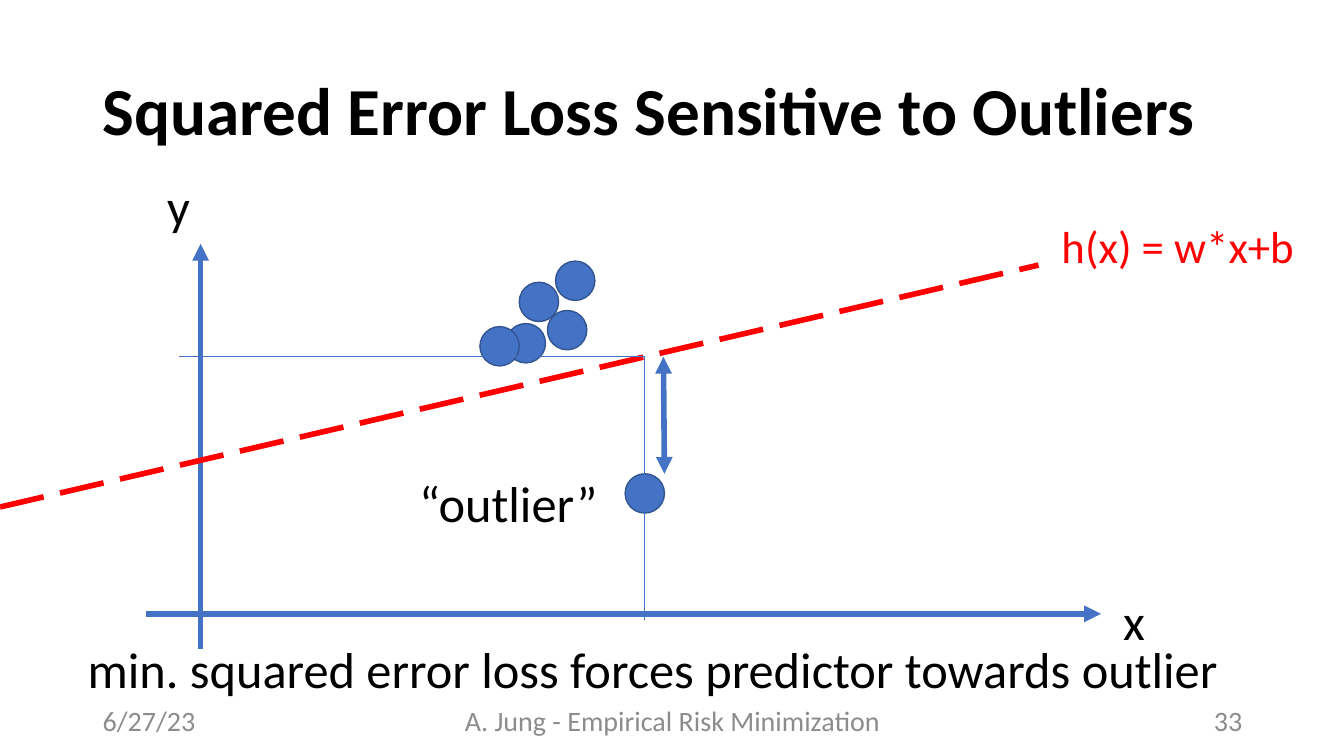
from lxml import etree
from pptx import Presentation
from pptx.dml.color import RGBColor
from pptx.enum.dml import MSO_LINE
from pptx.enum.shapes import MSO_CONNECTOR, MSO_SHAPE
from pptx.enum.text import MSO_ANCHOR, PP_ALIGN
from pptx.oxml.ns import qn
from pptx.util import Pt

PX = 9144  # EMU per px, 100 px to the inch
FONT = "Calibri"
BLACK = RGBColor(0x00, 0x00, 0x00)
BLUE = RGBColor(0x44, 0x72, 0xC4)
DARK_BLUE = RGBColor(0x32, 0x54, 0x91)
RED = RGBColor(0xFF, 0x00, 0x00)
GREY = RGBColor(0x8C, 0x8C, 0x8C)
STRAIGHT = MSO_CONNECTOR.STRAIGHT
OVAL = MSO_SHAPE.OVAL
LONG_DASH = MSO_LINE.LONG_DASH
TOP, MIDDLE = MSO_ANCHOR.TOP, MSO_ANCHOR.MIDDLE
LEFT, CENTER, RIGHT = PP_ALIGN.LEFT, PP_ALIGN.CENTER, PP_ALIGN.RIGHT

DOT = 39  # diameter of a data point


def add_text(s, box, text, size, color=BLACK, bold=False, align=LEFT,
             anchor=TOP, wrap=False):
    tf = s.shapes.add_textbox(*(v * PX for v in box)).text_frame
    tf.word_wrap = wrap
    tf.vertical_anchor = anchor
    p = tf.paragraphs[0]
    p.text = text
    p.alignment = align
    font = p.runs[0].font
    font.name, font.size, font.bold = FONT, Pt(size), bold
    font.color.rgb = color
    return p


def add_line(s, start, end, width, color=BLUE, dash=None, arrows=()):
    line = s.shapes.add_connector(STRAIGHT, *(v * PX for v in start + end))
    line.line.color.rgb = color
    line.line.width = Pt(width)
    if dash is not None:
        line.line.dash_style = dash
    ln = line.line._get_or_add_ln()
    for arrow in arrows:
        etree.SubElement(ln, qn(f"a:{arrow}"), type="triangle")
    etree.SubElement(line._element.spPr, qn("a:effectLst"))


def add_dot(s, left, top):
    sp = s.shapes.add_shape(OVAL, left * PX, top * PX, DOT * PX, DOT * PX)
    sp.shadow.inherit = False
    sp.fill.solid()
    sp.fill.fore_color.rgb = BLUE
    sp.line.color.rgb = DARK_BLUE
    sp.line.width = Pt(1)


def add_title(s, box):
    p = add_text(s, box, "Squared Error Loss Sensitive to Outliers", 48,
                 bold=True, anchor=MIDDLE, wrap=True)
    p.line_spacing = 0.9


def add_plot(s, box):
    x, y, w, h = box

    def at(dx, dy):
        return x + dx, y + dy

    # Axes
    add_line(s, at(145, h - 35), at(1092, h - 35), 4, arrows=["tailEnd"])
    add_line(s, at(199, h), at(199, 73), 4, arrows=["tailEnd"])
    add_text(s, (*at(1104, 411), 42, 71), "x", 36)
    add_text(s, (*at(156, 0), 43, 71), "y", 36)

    # Outlier and the points behind the guides
    for dot in [(620, 301), (502, 152), (476, 155)]:
        add_dot(s, *at(*dot))

    # Fitted predictor
    add_line(s, at(0, 334), at(1030, 94), 4, RED, LONG_DASH)
    add_text(s, (*at(w - 290, 43), 254, 64), "h(x) = w*x+b", 32, RED)

    # Guides and prediction error at the outlier
    add_line(s, at(639, 184), at(639, 446), 0.5)
    add_line(s, at(639, 185), at(178, 185), 0.5)
    add_line(s, at(658, 185), at(659, 301), 4, arrows=["headEnd", "tailEnd"])

    # Remaining points of the cluster
    for dot in [(515, 111), (543, 139), (551, 90)]:
        add_dot(s, *at(*dot))
    add_text(s, (*at(406, 294), 210, 71), "“outlier”", 36)


def add_footer(s, box):
    x, y, w, h = box
    side, middle = 300, 450
    add_text(s, (x, y, side, h), "6/27/23", 20, GREY,
             anchor=MIDDLE, wrap=True)
    add_text(s, (x + (w - middle) // 2, y, middle, h),
             "A. Jung - Empirical Risk Minimization", 20, GREY,
             align=CENTER, anchor=MIDDLE, wrap=True)
    add_text(s, (x + w - side, y, side, h), "33", 20, GREY,
             align=RIGHT, anchor=MIDDLE, wrap=True)


def main():
    prs = Presentation()
    prs.slide_width, prs.slide_height = 1333 * PX, 750 * PX
    s = prs.slides.add_slide(prs.slide_layouts[6])
    add_title(s, (92, 40, 1150, 145))
    add_plot(s, (0, 169, 1333, 475))
    add_text(s, (77, 628, 1163, 71),
             "min. squared error loss forces predictor towards outlier", 36)
    add_footer(s, (92, 695, 1150, 40))
    prs.save("out.pptx")


if __name__ == "__main__":
    main()
